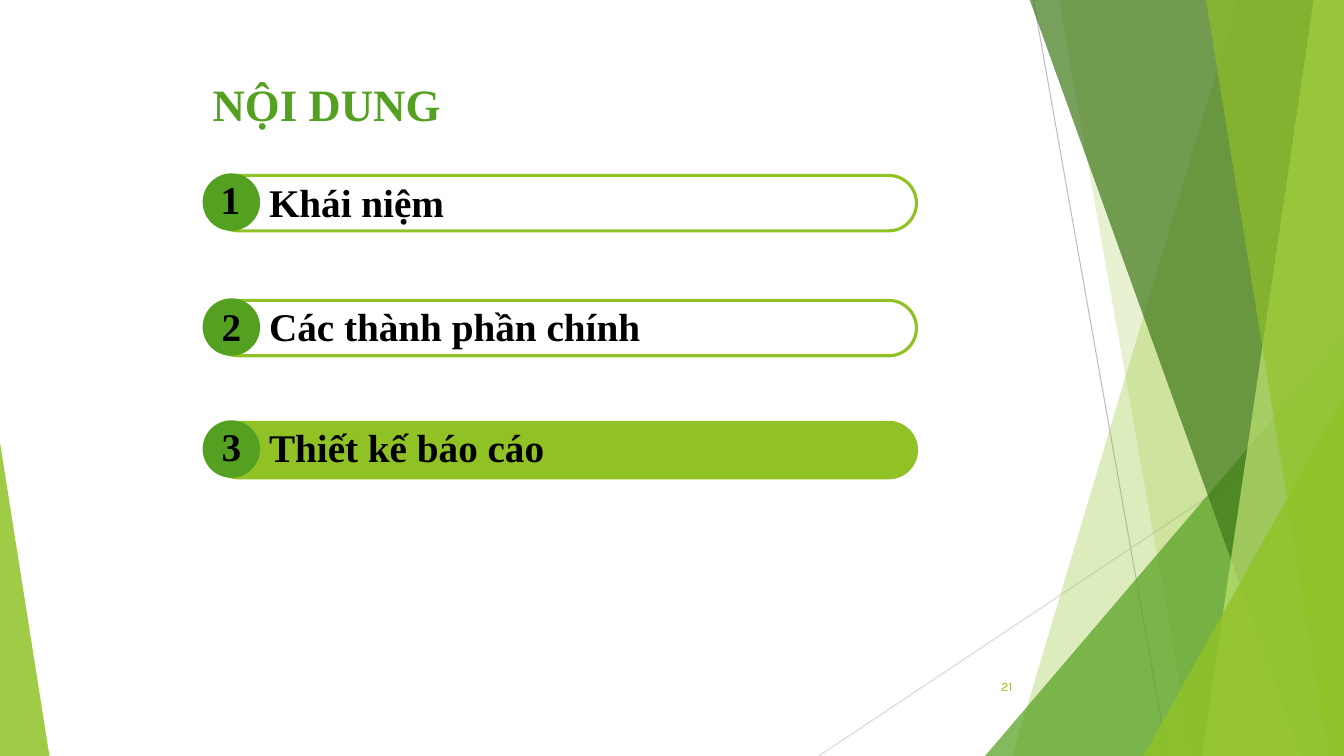
import pptx
import pptx.util
import pptx.dml.color
import pptx.enum.shapes
import pptx.enum.text
import pptx.oxml.ns
import lxml.etree

In, Pt = pptx.util.Inches, pptx.util.Pt
MSO = pptx.enum.shapes.MSO_SHAPE
W, H, TOP = 13.33, 7.5, -0.01
LIME, GREEN, DARK, PALE = "90C226", "54A021", "3F7819", "C0E474"
qn = pptx.oxml.ns.qn


def paint(sp, fill=None, alpha=100, line=None):
    """Set fill, opacity in percent and outline colour of a shape."""
    sp.shadow.inherit = False
    if fill:
        sp.fill.solid()
        sp.fill.fore_color.rgb = pptx.dml.color.RGBColor.from_string(fill)
        if alpha < 100:
            clr = sp._element.spPr.find(qn("a:solidFill"))[0]
            lxml.etree.SubElement(clr, qn("a:alpha"), val=str(alpha * 1000))
    else:
        sp.fill.background()
    if line:
        sp.line.color.rgb = pptx.dml.color.RGBColor.from_string(line)
        sp.line.width = Pt(2.25)
    else:
        sp.line.fill.background()


def write(text, x, y, w, h, size, color="000000", name="Times New Roman", bold=True):
    """Add a one-line text box and return its text frame."""
    tf = s.shapes.add_textbox(In(x), In(y), In(w), In(h)).text_frame
    tf.word_wrap = True
    r = tf.paragraphs[0].add_run()
    r.text = text
    for key, value in {"size": Pt(size), "name": name, "bold": bold}.items():
        setattr(r.font, key, value)
    r.font.color.rgb = pptx.dml.color.RGBColor.from_string(color)
    return tf


prs = pptx.Presentation()
prs.slide_width, prs.slide_height = In(W), In(H)
s = prs.slides.add_slide(prs.slide_layouts[6])

# Thin background lines
for x1, y1, x2, y2, color in [(10.25, 0, 11.58, H, "BFBFBF"),
                              (W, 4.03, 8.12, H, "D9D9D9")]:
    c = s.shapes.add_connector(pptx.enum.shapes.MSO_CONNECTOR.STRAIGHT,
                               In(x1), In(y1), In(x2), In(y2))
    c.line.color.rgb = pptx.dml.color.RGBColor.from_string(color)
    c.line.width = Pt(0.75)
    lxml.etree.SubElement(c._element.spPr, qn("a:effectLst"))

# Facets, back to front: bands run from top x to bottom x and fill to the right
# edge; triangles have left, top, width and the side of their tip
facets = [
    ("band", (12.28, 10.04), LIME, 30),
    ("band", (10.5, 11.83), LIME, 20),
    ("triangle", (9.77, 3.33, 3.56, 1), GREEN, 72),
    ("band", (10.21, 12.91), DARK, 70),
    ("band", (13.03, 11.92), PALE, 70),
    ("band", (11.96, 13.18), LIME, 65),
    ("triangle", (11.34, 3.93, 1.99, 1), LIME, 80),
    ("triangle", (0, 4.39, 0.49, 0), LIME, 85),
]
for kind, geometry, color, alpha in facets:
    if kind == "band":
        x_top, x_bottom = geometry
        fb = s.shapes.build_freeform(In(x_top), In(TOP))
        fb.add_line_segments([(In(W), In(TOP)), (In(W), In(H)), (In(x_bottom), In(H))])
        sp = fb.convert_to_shape()
    else:
        x, y, w, tip = geometry
        sp = s.shapes.add_shape(MSO.ISOSCELES_TRIANGLE, In(x), In(y), In(w), In(H - y))
        sp.adjustments[0] = tip
    paint(sp, color, alpha)

# Agenda rows: label, bar top, label top, number left and top, bar fill
rows = [
    ("Khái niệm", 1.74, 1.72, 2.09, 1.69, None),
    ("Các thành phần chính", 2.98, 2.95, 2.1, 2.95, None),
    ("Thiết kế báo cáo", 4.19, 4.15, 2.1, 4.14, LIME),
]
for i, (label, bar_y, label_y, num_x, num_y, fill) in enumerate(rows, 1):
    bar = s.shapes.add_shape(MSO.ROUNDED_RECTANGLE, In(2.09), In(bar_y), In(7), In(0.55))
    bar.adjustments[0] = 0.5
    paint(bar, fill, line=LIME)
    dot = s.shapes.add_shape(MSO.OVAL, In(2.01), In(bar_y - 0.02), In(0.57), In(0.57))
    paint(dot, GREEN)
    write(label, 2.57, label_y, 6, 0.57, 28)
    write(str(i), num_x, num_y, 0.4, 0.57, 28)

# Title and page number
write("NỘI DUNG", 2.01, 0.71, 2.63, 0.64, 32, GREEN)
tf = write("21", 9.39, 6.61, 0.75, 0.4, 9, LIME, "Karla", False)
tf.vertical_anchor = pptx.enum.text.MSO_ANCHOR.MIDDLE
tf.paragraphs[0].alignment = pptx.enum.text.PP_ALIGN.RIGHT

prs.save("out.pptx")
